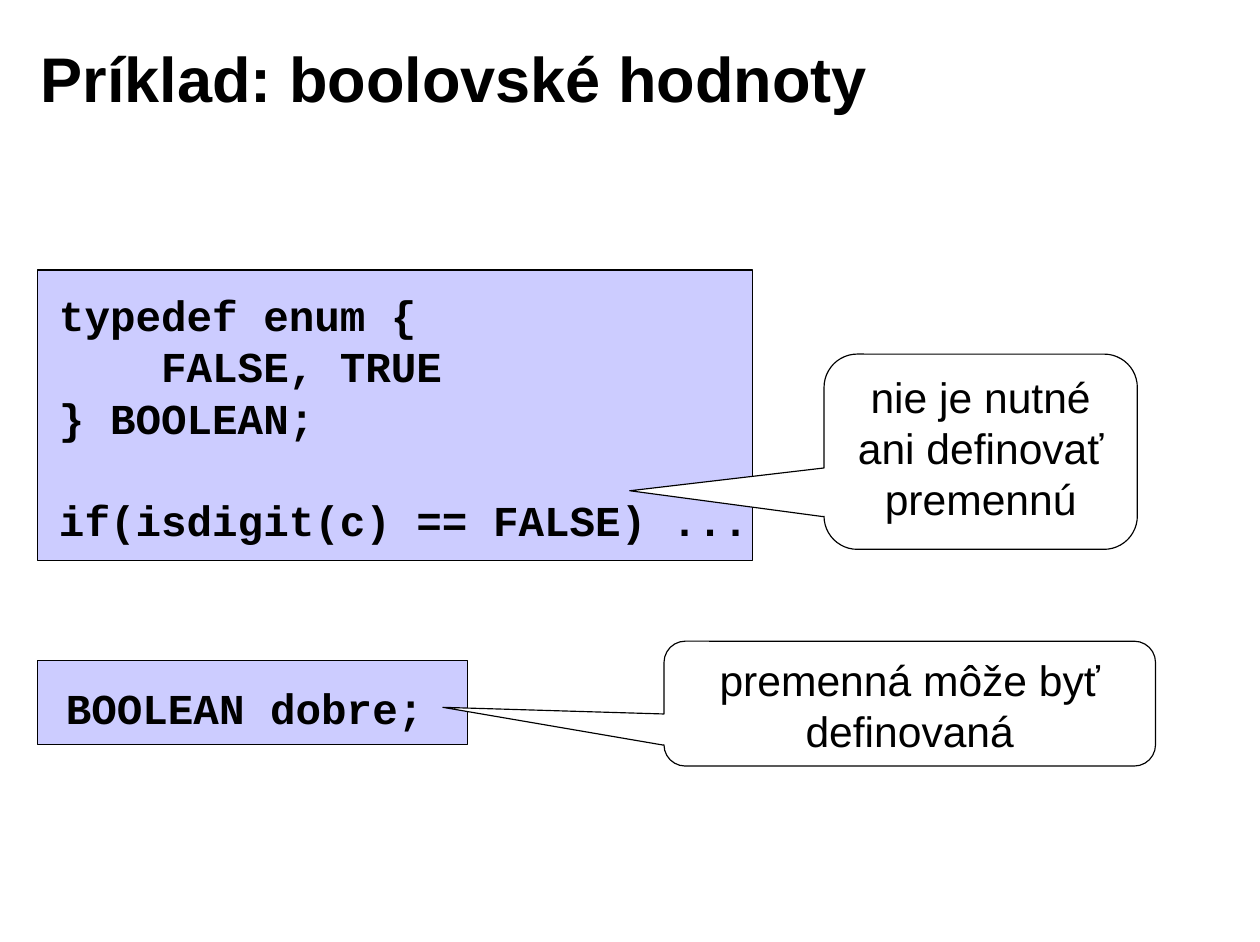
from pptx import Presentation
from pptx.dml.color import RGBColor
from pptx.enum.shapes import MSO_SHAPE
from pptx.enum.text import MSO_ANCHOR, MSO_AUTO_SIZE, PP_ALIGN
from pptx.util import Inches, Pt

RECT = MSO_SHAPE.RECTANGLE
BUBBLE = MSO_SHAPE.ROUNDED_RECTANGULAR_CALLOUT
TOP, MIDDLE = MSO_ANCHOR.TOP, MSO_ANCHOR.MIDDLE
LEFT, CENTER = PP_ALIGN.LEFT, PP_ALIGN.CENTER
NO_FIT = MSO_AUTO_SIZE.NONE

COLS, ROWS = 111, 83
BLACK, WHITE, LILAC = "000000", "FFFFFF", "CCCCFF"
SANS, MONO = "Arial", "Courier New"
SIZE = 27
LEAD = Pt(SIZE * 1.2)
CHAR = Pt(SIZE * 0.6)
INSET = (1.1, 0.6, 1.1, 0.6)


def grid(count):
    """Length of a number of grid cells, each a tenth of an inch."""
    return Inches(count / 10)


def paint(fmt, color):
    fmt.rgb = RGBColor.from_string(color)


def set_frame(frame, anchor, inset):
    frame.word_wrap = True
    frame.auto_size = NO_FIT
    frame.vertical_anchor = anchor
    (frame.margin_left, frame.margin_top,
     frame.margin_right, frame.margin_bottom) = map(grid, inset)


def set_para(para, text, face, size, bold, align):
    para.text = text
    para.alignment = align
    font = para.font
    font.name, font.size, font.bold = face, Pt(size), bold
    paint(font.color, BLACK)


def add_title(slide, text, area):
    title = slide.shapes.title
    title.left, title.top, title.width, title.height = map(grid, area)
    set_frame(title.text_frame, MIDDLE, INSET)
    set_para(title.text_frame.paragraphs[0], text, SANS, 40, True, LEFT)


def add_box(slide, kind, area, fill, inset):
    box = slide.shapes.add_shape(kind, *map(grid, area))
    box.shadow.inherit = False
    box.fill.solid()
    paint(box.fill.fore_color, fill)
    paint(box.line.color, BLACK)
    box.line.width = Pt(0.75)
    set_frame(box.text_frame, TOP, inset)
    return box


def add_code(slide, area, inset, lines):
    """Code box; each line is (text, indent in characters, lines skipped above)."""
    frame = add_box(slide, RECT, area, LILAC, inset).text_frame
    for i, (text, indent, skip) in enumerate(lines):
        para = frame.add_paragraph() if i else frame.paragraphs[0]
        set_para(para, text, MONO, SIZE, True, LEFT)
        para.line_spacing = LEAD
        para.space_before = LEAD * skip
        props = para._p.get_or_add_pPr()
        props.set("marL", str(CHAR * indent))
        props.set("indent", "0")


def add_note(slide, area, tip, text):
    """Callout whose tip is offset from its centre, in shares of its size."""
    box = add_box(slide, BUBBLE, area, WHITE, INSET)
    for i, value in enumerate((*tip, 0.17)):
        box.adjustments[i] = value
    para = box.text_frame.paragraphs[0]
    set_para(para, text, SANS, SIZE, False, CENTER)
    para.line_spacing = LEAD


def main():
    deck = Presentation()
    deck.slide_width, deck.slide_height = grid(COLS), grid(ROWS)
    slide = deck.slides.add_slide(deck.slide_layouts[5])

    add_title(slide, "Príklad: boolovské hodnoty", (2.5, 1.7, 89.1, 10.2))
    add_code(slide, (3.3, 23.8, 63, 25.6), (1.9, 1.7, 0, 0), [
        ("typedef enum {", 0, 0),
        ("FALSE, TRUE", 4, 0),
        ("} BOOLEAN;", 0, 0),
        ("if(isdigit(c) == FALSE) ...", 0, 1),
    ])
    add_code(slide, (3.3, 58.2, 37.9, 7.4), (2.5, 1.9, 0, 0),
             [("BOOLEAN dobre;", 0, 0)])
    add_note(slide, (72.6, 31.2, 27.6, 17.2), (-1.12, 0.2),
             "nie je nutné ani definovať premennú")
    add_note(slide, (58.5, 56.5, 43.3, 11), (-0.95, 0.03),
             "premenná môže byť definovaná")
    deck.save("out.pptx")


if __name__ == "__main__":
    main()
